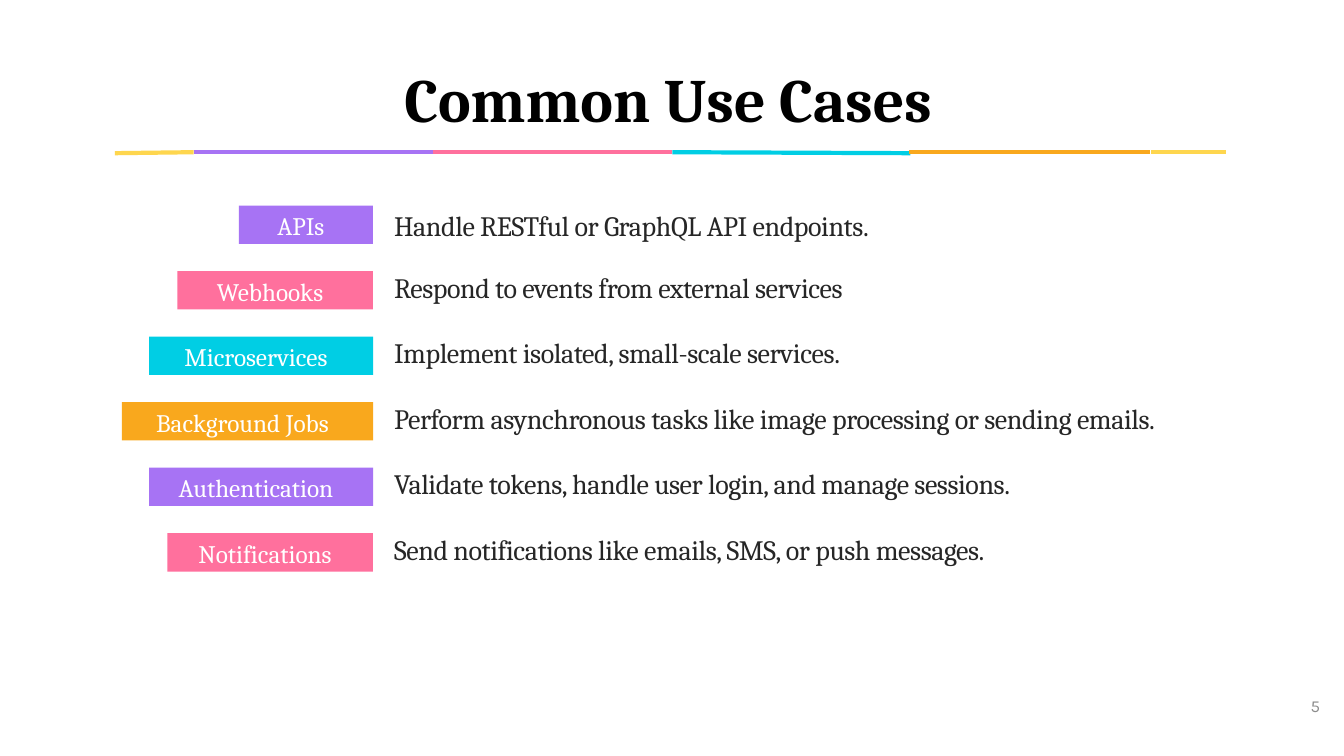
from lxml import etree
from pptx import Presentation
from pptx import util as u
from pptx.dml.color import RGBColor
from pptx.enum import shapes, text
from pptx.oxml.ns import qn

COLORS = {
    "yellow": "FED64E", "purple": "A773F4", "pink": "FF709D",
    "cyan": "00CEE4", "orange": "F9A81D", "white": "FFFFFF",
    "black": "000000", "body": "262626", "gray": "8C8C8C",
}
RULE = [
    ("yellow", 1.14, 1.52, 1.92, 1.51),
    ("purple", 1.92, 1.51, 4.29, 1.51),
    ("pink", 4.29, 1.51, 6.67, 1.51),
    ("cyan", 6.67, 1.51, 9.03, 1.52),
    ("orange", 9.02, 1.51, 11.41, 1.51),
    ("yellow", 11.42, 1.51, 12.16, 1.51),
]
USE_CASES = [
    ("APIs", 1.33, "purple", "Handle RESTful or GraphQL API endpoints."),
    ("Webhooks", 1.94, "pink", "Respond to events from external services"),
    ("Microservices", 2.22, "cyan", "Implement isolated, small-scale services."),
    ("Background Jobs", 2.49, "orange",
     "Perform asynchronous tasks like image processing or sending emails."),
    ("Authentication", 2.22, "purple",
     "Validate tokens, handle user login, and manage sessions."),
    ("Notifications", 2.04, "pink",
     "Send notifications like emails, SMS, or push messages."),
]
BADGE = [
    ((12.74, 6.82), (12.84, 6.81), (13, 6.88), (12.94, 7.06)),
    ((12.94, 7.06), (12.88, 7.26), (12.62, 7.17), (12.58, 7.13)),
    ((12.58, 7.13), (12.54, 7.09), (12.61, 6.84), (12.7, 6.82)),
]
LABEL_RIGHT, FIRST_TOP, PITCH = 3.7, 2.04, 0.65


def curve_points(curve, steps=16):
    for i in range(1, steps + 1):
        t = i / steps
        weights = ((1 - t) ** 3, 3 * t * (1 - t) ** 2, 3 * t * t * (1 - t), t ** 3)
        yield tuple(sum(w * pt[axis] for w, pt in zip(weights, curve)) for axis in (0, 1))


class SlideBuilder:
    font = "Cambria"

    def __init__(self, s):
        self.s = s

    def color(self, name):
        return RGBColor.from_string(COLORS[name])

    def set_text(self, sp, words, size, color, align=text.PP_ALIGN.LEFT,
                 anchor=text.MSO_ANCHOR.TOP, font=None, bold=False, spacing=None):
        tf = sp.text_frame
        tf.word_wrap = True
        tf.vertical_anchor = anchor
        tf.text = words
        p = tf.paragraphs[0]
        p.alignment = align
        r = p.runs[0]
        r.font.name = font or self.font
        r.font.size = u.Pt(size)
        r.font.bold = bold
        r.font.color.rgb = self.color(color)
        if spacing:
            r._r.get_or_add_rPr().set("spc", str(round(spacing * 100)))
        return p

    def line(self, color, x1, y1, x2, y2):
        c = self.s.shapes.add_connector(
            shapes.MSO_CONNECTOR.STRAIGHT, *map(u.Inches, (x1, y1, x2, y2)))
        c.line.color.rgb = self.color(color)
        c.line.width = u.Pt(3)
        etree.SubElement(c._element.spPr, qn("a:effectLst"))

    def label(self, words, color, x, y, w, h):
        sp = self.s.shapes.add_shape(
            shapes.MSO_SHAPE.RECTANGLE, *map(u.Inches, (x, y, w, h)))
        sp.shadow.inherit = False
        sp.fill.solid()
        sp.fill.fore_color.rgb = self.color(color)
        sp.line.fill.background()
        sp.text_frame.margin_right = u.Inches(0.2)
        self.set_text(sp, words, 18, "white", text.PP_ALIGN.CENTER)

    def textbox(self, words, x, y, w, h, size, color, **style):
        sp = self.s.shapes.add_textbox(*map(u.Inches, (x, y, w, h)))
        return self.set_text(sp, words, size, color, **style)

    def badge(self, words, curves):
        points = [pt for curve in curves for pt in curve_points(curve)]
        builder = self.s.shapes.build_freeform(*curves[0][0], scale=u.Inches(1))
        builder.add_line_segments(points, close=True)
        sp = builder.convert_to_shape()
        sp.shadow.inherit = False
        sp.fill.background()
        sp.line.color.rgb = self.color("cyan")
        sp.line.width = u.Pt(1)
        self.set_text(sp, words, 12, "gray", text.PP_ALIGN.CENTER,
                      text.MSO_ANCHOR.MIDDLE, font="Karla")


def main():
    prs = Presentation()
    prs.slide_width, prs.slide_height = u.Inches(13.33), u.Inches(7.5)
    slide = SlideBuilder(prs.slides.add_slide(prs.slide_layouts[6]))
    for segment in RULE:
        slide.line(*segment)
    title = slide.textbox("Common Use Cases", 0.71, 0.5, 11.84, 0.89, 44, "black",
                          align=text.PP_ALIGN.CENTER,
                          anchor=text.MSO_ANCHOR.BOTTOM, bold=True)
    title.line_spacing = 1.7
    for i, (name, width, color, description) in enumerate(USE_CASES):
        top = FIRST_TOP + i * PITCH
        slide.label(name, color, LABEL_RIGHT - width, top, width, 0.38)
        anchor = text.MSO_ANCHOR.TOP if i else text.MSO_ANCHOR.MIDDLE
        slide.textbox(description, 3.81, top - 0.06, 8.52, 0.51, 20, "body",
                      anchor=anchor, spacing=-0.3)
    slide.badge("5", BADGE)
    prs.save("out.pptx")


if __name__ == "__main__":
    main()
